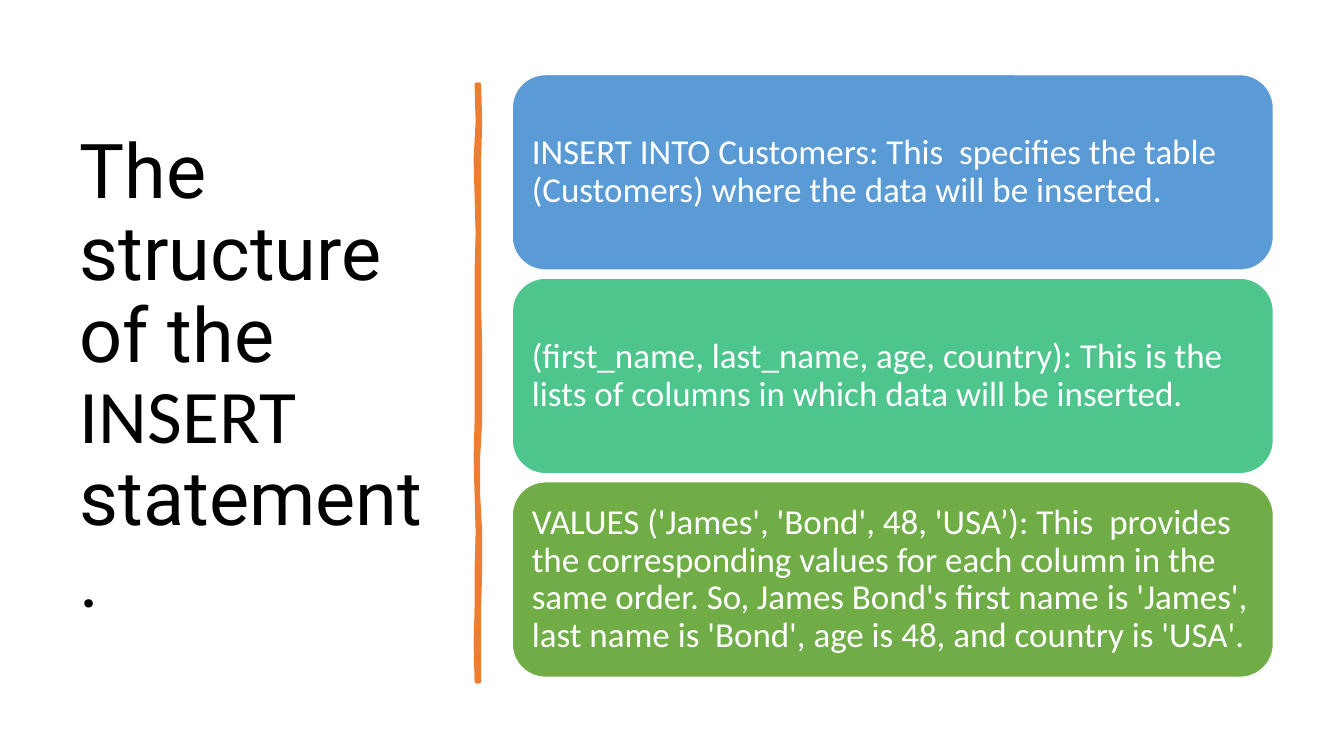
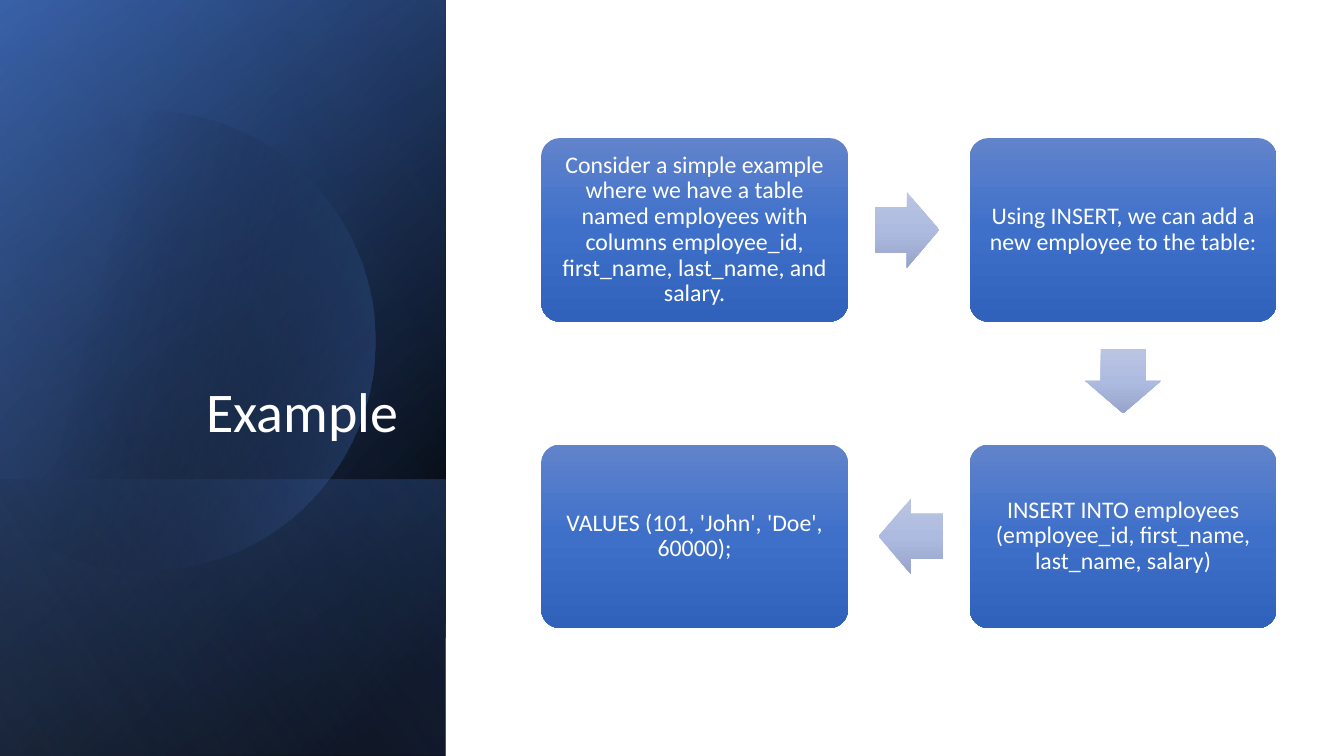
import math
from dataclasses import dataclass

from lxml import etree
from pptx import Presentation
from pptx.dml.color import RGBColor
from pptx.enum import shapes, text
from pptx.oxml.ns import qn
from pptx.util import Inches, Pt


# Shared colours, fonts and type sizes
@dataclass(frozen=True)
class Theme:
    font: str = "Calibri"
    title_font: str = "Roboto"
    black: str = "000000"
    white: str = "FFFFFF"
    orange: str = "ED7D31"
    clause_fills: tuple = ("5B9BD5", "4DC58D", "70AD47")
    step_fill: tuple = ((0, "6183CB", 100), (50, "3E70CA", 100), (100, "3062BB", 100))
    arrow_fill: tuple = ((0, "BBC5E3", 100), (50, "AEBBE0", 100), (100, "98A4CB", 100))
    large_title: int = 54
    title: int = 40
    clause_text: int = 25
    step_text: int = 17


THEME = Theme()


class SlideBuilder:
    def __init__(self, deck, theme):
        self.deck = deck
        self.theme = theme
        self.page = None

    def new_page(self):
        self.page = self.deck.slides.add_slide(self.deck.slide_layouts[5])

    def title(self, frame, spans, size, color, align, anchor):
        """Place the title in front; spans are (words, font) pairs."""
        box = self.page.shapes.title
        box.left, box.top, box.width, box.height = map(Inches, frame)
        box.element.getparent().append(box.element)
        box.text_frame.auto_size = text.MSO_AUTO_SIZE.NONE
        box.text_frame.word_wrap = True
        box.text_frame.vertical_anchor = anchor
        para = box.text_frame.paragraphs[0]
        para.alignment = align
        para.line_spacing = 0.9
        for words, font in spans:
            span = para.add_run()
            span.text = words
            self.style_font(span.font, size, color, font)

    def style_font(self, font, size, color, name):
        font.name = name
        font.size = Pt(size)
        font.color.rgb = RGBColor.from_string(color)

    def paint(self, shape, fill, angle=90, line=None, line_width=1.0):
        """Fill with one colour or with (position, colour, opacity) stops."""
        shape.shadow.inherit = False
        if isinstance(fill, str):
            shape.fill.solid()
            shape.fill.fore_color.rgb = RGBColor.from_string(fill)
        else:
            shape.fill.gradient()
            shape.fill.gradient_angle = 360 - angle
            stops = shape.element.spPr.find(qn("a:gradFill")).find(qn("a:gsLst"))
            for old in list(stops):
                stops.remove(old)
            for position, color, opacity in fill:
                stop = etree.SubElement(stops, qn("a:gs"), pos=str(position * 1000))
                tint = etree.SubElement(stop, qn("a:srgbClr"), val=color)
                if opacity < 100:
                    etree.SubElement(tint, qn("a:alpha"), val=str(opacity * 1000))
        if line:
            shape.line.color.rgb = RGBColor.from_string(line)
            shape.line.width = Pt(line_width)
        else:
            shape.line.fill.background()

    def shape(self, kind, frame, fill, adjust=(), **look):
        shape = self.page.shapes.add_shape(kind, *map(Inches, frame))
        for index, value in enumerate(adjust):
            shape.adjustments[index] = value
        self.paint(shape, fill, **look)
        return shape

    def card(self, frame, words, fill, size, inset, align, corner, line=None):
        box = self.shape(shapes.MSO_SHAPE.ROUNDED_RECTANGLE, frame, fill, (corner,), line=line)
        body = box.text_frame
        body.text = words
        body.word_wrap = True
        body.vertical_anchor = text.MSO_ANCHOR.MIDDLE
        body.margin_left = body.margin_right = Inches(inset)
        body.margin_top = body.margin_bottom = Inches(inset)
        para = body.paragraphs[0]
        para.alignment = align
        para.line_spacing = 0.9
        self.style_font(para.runs[0].font, size, self.theme.white, self.theme.font)

    def side_panel(self, top, width, height, fill, angle):
        """A panel at the left edge, turned a quarter and mirrored."""
        frame = ((width - height) / 2, top + (height - width) / 2, height, width)
        panel = self.shape(shapes.MSO_SHAPE.RECTANGLE, frame, fill, angle=angle)
        panel.rotation = 90
        panel.element.spPr.find(qn("a:xfrm")).set("flipH", "1")

    def outline(self, points, fill, **look):
        corners = [(Inches(x), Inches(y)) for x, y in points]
        builder = self.page.shapes.build_freeform(*corners[0])
        builder.add_line_segments(corners[1:], close=True)
        self.paint(builder.convert_to_shape(), fill, **look)


def structure_slide(build):
    theme = build.theme
    build.new_page()
    build.title(
        (0.69, 0.7, 3.74, 6.11),
        [("The structure of the ", theme.title_font), ("INSERT", theme.font),
         (" statement.", theme.title_font)],
        theme.large_title, theme.black, text.PP_ALIGN.LEFT, text.MSO_ANCHOR.MIDDLE)

    # Hand-drawn divider
    right = (4.75, 4.76, 4.75, 4.75, 4.75, 4.75, 4.75, 4.76, 4.76,
             4.76, 4.74, 4.74, 4.76, 4.76, 4.75, 4.75, 4.75)
    left = (4.73, 4.74, 4.72, 4.73, 4.74, 4.73, 4.73, 4.73, 4.73,
            4.73, 4.72, 4.73, 4.74, 4.73, 4.73, 4.72, 4.73)
    heights = [0.84 + 0.37 * step for step in range(len(right))]
    edge = list(zip(right, heights)) + list(zip(left, heights))[::-1]
    build.outline(edge, theme.orange, line=theme.orange, line_width=3.25)

    # Clauses of the statement
    clauses = (
        "INSERT INTO Customers: This  specifies the table (Customers) where the data "
        "will be inserted.",
        "(first_name, last_name, age, country): This is the lists of columns in which "
        "data will be inserted.",
        "VALUES ('James', 'Bond', 48, 'USA’): This  provides the corresponding values "
        "for each column in the same order. So, James Bond's first name is 'James', "
        "last name is 'Bond', age is 48, and country is 'USA'.",
    )
    for row, (words, color) in enumerate(zip(clauses, theme.clause_fills)):
        build.card((5.08, 0.74 + 2.02 * row, 7.55, 1.94), words, color, theme.clause_text,
                   0.1, text.PP_ALIGN.LEFT, 0.17, theme.white)


def example_slide(build):
    theme = build.theme
    build.new_page()

    # Layered side panel: top, height, stops, angle
    width = 4.42
    below_disc = (
        (0, 7.5, ((8, "000000", 100), (100, "2F5597", 100)), 50),
        (0, 7.5, ((0, "000000", 0), (99, "4472C4", 46)), 30),
        (4.76, 2.74, ((2, "4472C4", 29), (100, "000000", 30)), 130),
    )
    for top, height, fill, angle in below_disc:
        build.side_panel(top, width, height, fill, angle)

    # Disc cut off by the slide's left edge
    center_x, center_y, radius = 1.44, 3.38, 2.28
    reach = math.acos(-center_x / radius)
    turns = [reach * (step / 60 - 1) for step in range(121)]
    disc = [(center_x + radius * math.cos(turn), center_y + radius * math.sin(turn))
            for turn in turns]
    build.outline(disc, ((29, "000000", 0), (100, "4472C4", 43)), angle=14)
    build.side_panel(0, width, 7.5, ((0, "000000", 0), (99, "8FAADC", 11)), 120)

    build.title((0.64, 1.84, 3.41, 2.62), [("Example", theme.font)], theme.title,
                theme.white, text.PP_ALIGN.RIGHT, text.MSO_ANCHOR.BOTTOM)

    # Steps, clockwise on a two-by-two grid: column, row, words
    steps = (
        (0, 0, "Consider a simple example where we have a table named employees with "
               "columns employee_id, first_name, last_name, and salary."),
        (1, 0, "Using INSERT, we can add a new employee to the table:"),
        (1, 1, "INSERT INTO employees (employee_id, first_name, last_name, salary)"),
        (0, 1, "VALUES (101, 'John', 'Doe', 60000);"),
    )
    card_width, card_height = 3.04, 1.82
    centers = []
    for column, row, words in steps:
        x, y = 5.37 + 4.25 * column, 1.37 + 3.04 * row
        build.card((x, y, card_width, card_height), words, theme.step_fill,
                   theme.step_text, 0.07, text.PP_ALIGN.CENTER, 0.1)
        centers.append((x + card_width / 2, y + card_height / 2))

    # Arrows, midway between neighbouring steps and slightly back
    length, breadth, setback = 0.64, 0.75, 0.02
    arrows = (
        (shapes.MSO_SHAPE.RIGHT_ARROW, 1, 0),
        (shapes.MSO_SHAPE.DOWN_ARROW, 0, 1),
        (shapes.MSO_SHAPE.LEFT_ARROW, -1, 0),
    )
    for (kind, across, down), start, end in zip(arrows, centers, centers[1:]):
        arrow_width, arrow_height = (length, breadth) if across else (breadth, length)
        x = (start[0] + end[0] - arrow_width) / 2 - setback * across
        y = (start[1] + end[1] - arrow_height) / 2 - setback * down
        build.shape(kind, (x, y, arrow_width, arrow_height), theme.arrow_fill, (0.6, 0.5))


def main():
    deck = Presentation()
    deck.slide_width, deck.slide_height = Inches(13.33), Inches(7.5)
    build = SlideBuilder(deck, THEME)
    structure_slide(build)
    example_slide(build)
    deck.save("out.pptx")


if __name__ == "__main__":
    main()
